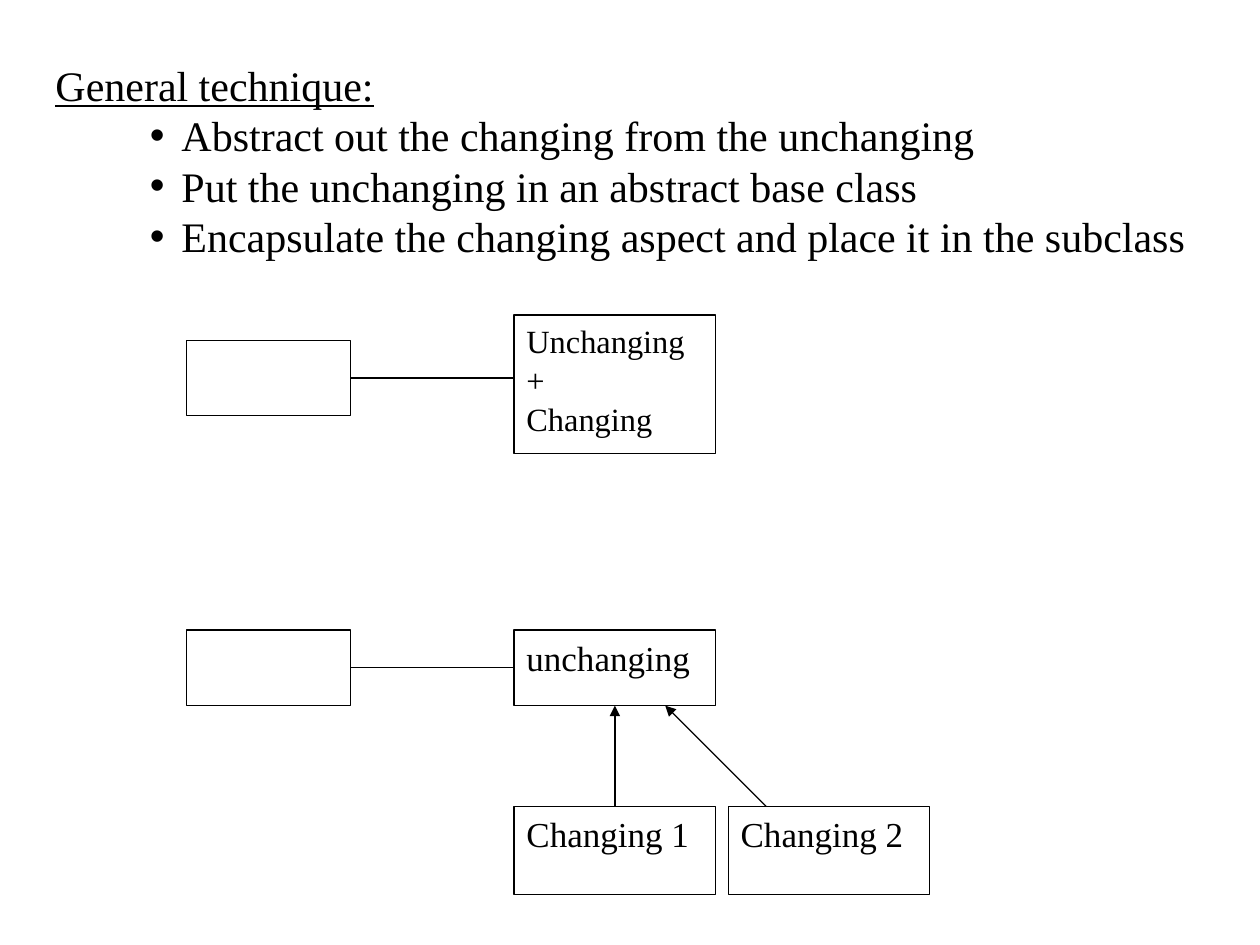
from pptx import Presentation
from pptx import util as u
from pptx.dml.color import RGBColor
from pptx.enum import shapes, text
from pptx.oxml.ns import qn
from lxml import etree

COLOURS = {"ink": "000000", "paper": "FFFFFF"}
FONT = "Times New Roman"
LINE_WIDTH = u.Pt(0.75)
LINE_PITCH = 1.2  # line height as a multiple of the text size


def colour(name):
    return RGBColor.from_string(COLOURS[name])


def write_lines(frame, lines, size, underline=False):
    """Fill a text frame with one left-aligned paragraph per line."""
    frame.auto_size = text.MSO_AUTO_SIZE.NONE
    frame.vertical_anchor = text.MSO_ANCHOR.TOP
    for index, line in enumerate(lines):
        para = frame.add_paragraph() if index else frame.paragraphs[0]
        para.alignment = text.PP_ALIGN.LEFT
        para.line_spacing = u.Pt(size * LINE_PITCH)
        para.space_before = para.space_after = u.Pt(0)
        span = para.add_run()
        span.text = line
        span.font.name = FONT
        span.font.size = u.Pt(size)
        span.font.underline = underline
        span.font.color.rgb = colour("ink")


def set_bullet(para, margin, hang):
    props = para._p.get_or_add_pPr()
    props.set("marL", str(margin))
    props.set("indent", str(-hang))
    etree.SubElement(props, qn("a:buChar")).set("char", "•")


def place(shape, left, top, width, height):
    shape.left, shape.top = u.Inches(left), u.Inches(top)
    shape.width, shape.height = u.Inches(width), u.Inches(height)


def add_heading_and_list(page, left, top, width, height):
    """Underlined heading with the bulleted steps below it."""
    heading_height = 0.4
    title, body = page.placeholders
    place(title, left, top, width, heading_height)
    write_lines(title.text_frame, ["General technique:"], 24, underline=True)

    place(body, left, top + heading_height, width, height - heading_height)
    write_lines(body.text_frame, [
        "Abstract out the changing from the unchanging",
        "Put the unchanging in an abstract base class",
        "Encapsulate the changing aspect and place it in the subclass",
    ], 24)
    body.text_frame.word_wrap = False
    for para in body.text_frame.paragraphs:
        set_bullet(para, u.Inches(1), u.Inches(0.25))


def add_class_box(page, left, top, width, height, lines=(), size=20):
    box = page.shapes.add_shape(
        shapes.MSO_SHAPE.RECTANGLE, u.Inches(left), u.Inches(top),
        u.Inches(width), u.Inches(height))
    box.shadow.inherit = False
    box.fill.solid()
    box.fill.fore_color.rgb = colour("paper")
    box.line.color.rgb = colour("ink")
    box.line.width = LINE_WIDTH
    if lines:
        write_lines(box.text_frame, lines, size)


def add_link(page, start, end, arrow=False):
    link = page.shapes.add_connector(
        shapes.MSO_CONNECTOR.STRAIGHT, *map(u.Inches, start + end))
    link.line.color.rgb = colour("ink")
    link.line.width = LINE_WIDTH
    if arrow:
        tip = etree.SubElement(link.line._get_or_add_ln(), qn("a:tailEnd"))
        tip.set("type", "triangle")
    etree.SubElement(link._element.spPr, qn("a:effectLst"))


def add_client(page, left, top, link_end):
    """Empty client box joined to the class on its right."""
    width, height = 1.3, 0.6
    add_class_box(page, left, top, width, height)
    middle = top + height / 2
    add_link(page, (left + width, middle), (link_end, middle))


def add_combined_design(page, left, top):
    """Before: one class holds both aspects."""
    class_left = left + 2.6
    add_class_box(page, class_left, top, 1.6, 1.1,
                  ["Unchanging", "+", "Changing"], 18.5)
    add_client(page, left, top + 0.2, class_left)


def add_separated_design(page, left, top):
    """After: a base class with two subclasses."""
    class_left, width, base_height = left + 2.6, 1.6, 0.6
    base_bottom, subclass_top = top + base_height, top + 1.4
    add_class_box(page, class_left, top, width, base_height, ["unchanging"])
    add_client(page, left, top, class_left)
    for index, (start, end) in enumerate([(0.8, 0.8), (2, 1.2)]):
        add_class_box(page, class_left + index * (width + 0.1), subclass_top,
                      width, 0.7, [f"Changing {index + 1}"])
        add_link(page, (class_left + start, subclass_top),
                 (class_left + end, base_bottom), arrow=True)


def main():
    deck = Presentation()
    deck.slide_width, deck.slide_height = u.Inches(10), u.Inches(7.5)
    page = deck.slides.add_slide(deck.slide_layouts[1])
    add_heading_and_list(page, 0.34, 0.42, 9.3, 2)
    add_combined_design(page, 1.48, 2.5)
    add_separated_design(page, 1.48, 5)
    deck.save("out.pptx")


if __name__ == "__main__":
    main()
